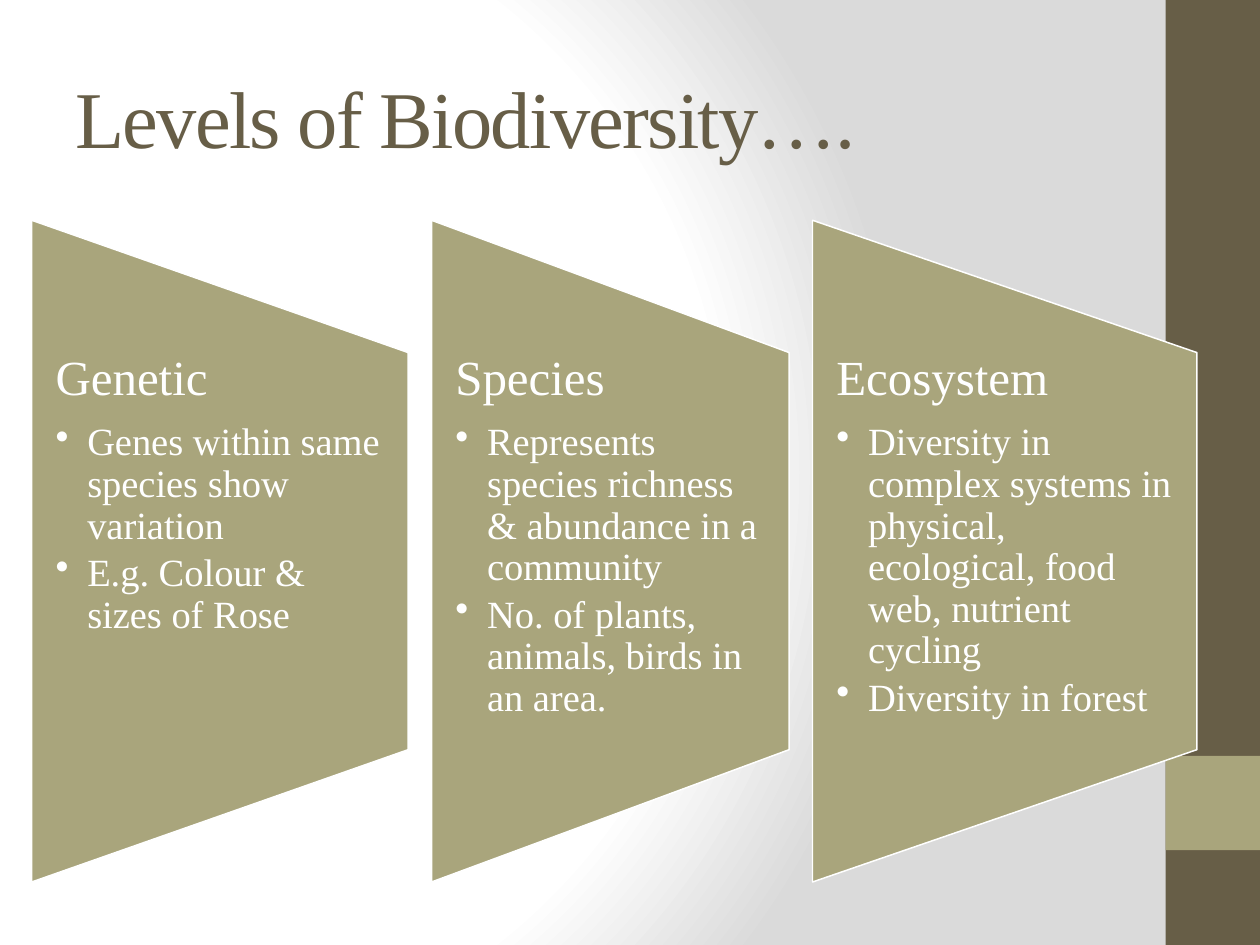
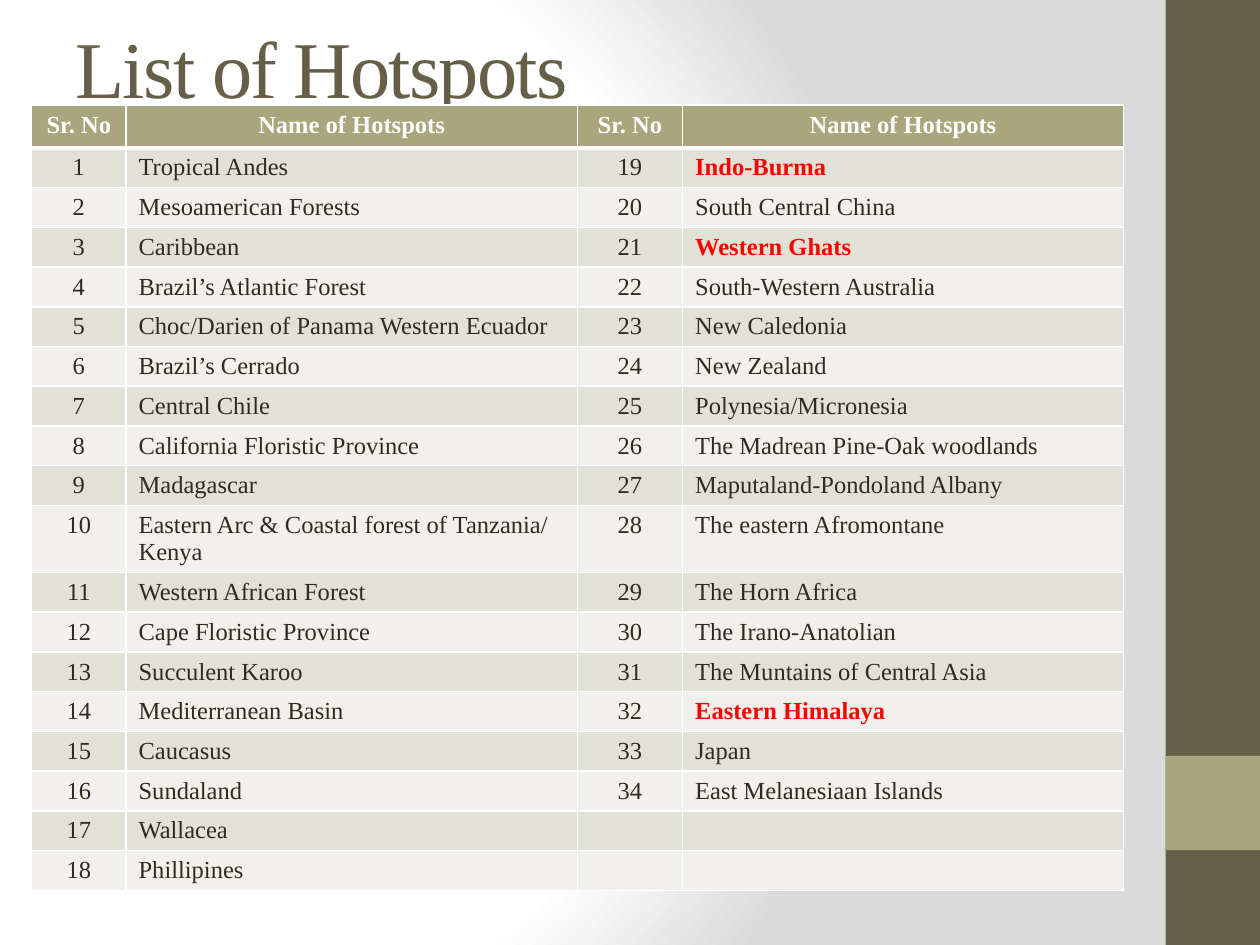
"""Build two slides on the levels of biodiversity and the list of hotspots."""
from lxml import etree
from pptx import Presentation
from pptx.dml.color import RGBColor
from pptx.enum.shapes import MSO_SHAPE
from pptx.enum.text import MSO_ANCHOR, MSO_AUTO_SIZE, PP_ALIGN
from pptx.oxml.ns import qn
from pptx.util import Cm, Pt

RECTANGLE = MSO_SHAPE.RECTANGLE
TRAPEZOID = MSO_SHAPE.FLOWCHART_MANUAL_OPERATION
LEFT, CENTER = PP_ALIGN.LEFT, PP_ALIGN.CENTER
TOP, MIDDLE = MSO_ANCHOR.TOP, MSO_ANCHOR.MIDDLE
NO_AUTOFIT = MSO_AUTO_SIZE.NONE

FONT = "Times New Roman"
COLORS = {
    "brown": "675E47",
    "olive": "A9A57C",
    "white": "FFFFFF",
    "gray": "DADADA",
    "text": "2F2B20",
    "red": "FF0000",
    "band_dark": "E2E1D7",
    "band_light": "F1F0EC",
}
BACKGROUND_STOPS = [(0, "white"), (75, "white"), (100, "gray")]
BACKGROUND_FOCUS = {"l": "20000", "t": "50000", "r": "100000", "b": "50000"}

SLIDE_WIDTH, SLIDE_HEIGHT = Cm(25.4), Cm(19.05)
BAND_WIDTH = Cm(1.9)
MARGIN = Cm(0.64)
PANEL_TOP, PANEL_HEIGHT, PANEL_GAP = Cm(4.44), Cm(13.34), Cm(0.47)
PANEL_TEXT_HEIGHT = Cm(8)

LEVELS = [
    (Cm(7.59), "Genetic",
     ["Genes within same species show variation",
      "E.g. Colour & sizes of Rose"]),
    (Cm(7.21), "Species",
     ["Represents species richness & abundance in a community",
      "No. of plants, animals, birds in an area."]),
    (Cm(7.75), "Ecosystem",
     ["Diversity in complex systems in physical, ecological, food web, nutrient cycling",
      "Diversity in forest"]),
]

HEADINGS = ["Sr. No", "Name of Hotspots"]
HOTSPOTS = [
    "Tropical Andes", "Mesoamerican Forests", "Caribbean",
    "Brazil’s Atlantic Forest", "Choc/Darien of Panama Western Ecuador",
    "Brazil’s Cerrado", "Central Chile", "California Floristic Province",
    "Madagascar", "Eastern Arc & Coastal forest of Tanzania/ Kenya",
    "Western African Forest", "Cape Floristic Province", "Succulent Karoo",
    "Mediterranean Basin", "Caucasus", "Sundaland", "Wallacea", "Phillipines",
    "Indo-Burma", "South Central China", "Western Ghats",
    "South-Western Australia", "New Caledonia", "New Zealand",
    "Polynesia/Micronesia", "The Madrean Pine-Oak woodlands",
    "Maputaland-Pondoland Albany", "The eastern Afromontane",
    "The Horn Africa", "The Irano-Anatolian", "The Muntains of Central Asia",
    "Eastern Himalaya", "Japan", "East Melanesiaan Islands",
]
INDIAN_HOTSPOTS = {"Indo-Burma", "Western Ghats", "Eastern Himalaya"}
HOTSPOTS_PER_COLUMN = 18
COLUMN_WIDTHS = [Cm(1.9), Cm(9.1), Cm(2.12), Cm(8.89)]
HEADER_HEIGHT, ROW_HEIGHT, TALL_ROW_HEIGHT = Cm(0.86), Cm(0.79), Cm(1.35)
TALL_ROW = 10


def rgb(name):
    """Return the named colour."""
    return RGBColor.from_string(COLORS[name])


def format_runs(paragraph, size, color, bold=False):
    """Apply the shared font to every run of a paragraph."""
    for run in paragraph.runs:
        run.font.name = FONT
        run.font.size = Pt(size)
        run.font.bold = bold
        run.font.color.rgb = rgb(color)


def set_background(master):
    """Give the slide master its off-centre circular gradient."""
    master.background.fill.gradient()
    gradient = master.element.find(".//" + qn("a:gradFill"))
    for child in list(gradient):
        gradient.remove(child)
    stops = etree.SubElement(gradient, qn("a:gsLst"))
    for position, color in BACKGROUND_STOPS:
        stop = etree.SubElement(stops, qn("a:gs"), pos=str(position * 1000))
        etree.SubElement(stop, qn("a:srgbClr"), val=COLORS[color])
    circle = etree.SubElement(gradient, qn("a:path"), {"path": "circle"})
    etree.SubElement(circle, qn("a:fillToRect"), BACKGROUND_FOCUS)


def add_filled_shape(slide, kind, left, top, width, height, color):
    """Add a flat preset shape without an outline."""
    shape = slide.shapes.add_shape(kind, left, top, width, height)
    shape.shadow.inherit = False
    shape.fill.solid()
    shape.fill.fore_color.rgb = rgb(color)
    shape.line.fill.background()
    return shape


def add_titled_slide(presentation, title_text, title_height):
    """Add a slide with the side bands and a formatted title."""
    slide = presentation.slides.add_slide(presentation.slide_layouts[5])
    band_left = SLIDE_WIDTH - BAND_WIDTH
    add_filled_shape(slide, RECTANGLE, band_left, 0, BAND_WIDTH, SLIDE_HEIGHT, "brown")
    add_filled_shape(slide, RECTANGLE, band_left, Cm(15.24), BAND_WIDTH, BAND_WIDTH, "olive")
    title = slide.shapes.title
    title.left, title.top = Cm(1.27), Cm(0.76)
    title.width, title.height = Cm(21.16), title_height
    text_frame = title.text_frame
    text_frame.text = title_text
    text_frame.auto_size = NO_AUTOFIT
    text_frame.vertical_anchor = MIDDLE
    paragraph = text_frame.paragraphs[0]
    paragraph.alignment = LEFT
    format_runs(paragraph, 46, "brown")
    for run in paragraph.runs:
        run.font._element.set("spc", "-100")
    return slide


def make_bullet(paragraph):
    """Turn a paragraph into a hanging bullet."""
    paragraph.level = 1
    properties = paragraph._p.get_or_add_pPr()
    properties.set("marL", str(Cm(0.64)))
    properties.set("indent", str(-Cm(0.64)))
    etree.SubElement(properties, qn("a:buChar"), char="•")


def add_level_panel(slide, left, width, heading, points):
    """Add a sideways trapezoid with a heading and bullets over it."""
    middle = PANEL_TOP + PANEL_HEIGHT // 2
    trapezoid = add_filled_shape(
        slide, TRAPEZOID, left + (width - PANEL_HEIGHT) // 2, middle - width // 2,
        PANEL_HEIGHT, width, "olive")
    trapezoid.rotation = 270
    trapezoid.line.color.rgb = rgb("white")
    trapezoid.line.width = Pt(0.85)

    text_box = slide.shapes.add_textbox(
        left, middle - PANEL_TEXT_HEIGHT // 2, width, PANEL_TEXT_HEIGHT)
    text_frame = text_box.text_frame
    text_frame.word_wrap = True
    text_frame.vertical_anchor = TOP
    text_frame.margin_left, text_frame.margin_right = Cm(0.48), Cm(0.5)
    text_frame.margin_top = text_frame.margin_bottom = 0
    text_frame.text = "\n".join([heading, *points])
    for index, paragraph in enumerate(text_frame.paragraphs):
        size, space_after = (22, 3.3) if index else (28, 9.8)
        paragraph.line_spacing = 0.9
        paragraph.space_after = Pt(space_after)
        if index:
            make_bullet(paragraph)
        format_runs(paragraph, size, "white")


def add_border(cell, side, width):
    """Draw one white border of a cell."""
    properties = cell._tc.get_or_add_tcPr()
    line = etree.SubElement(properties, qn("a:ln" + side), w=str(Pt(width)))
    fill = etree.SubElement(line, qn("a:solidFill"))
    etree.SubElement(fill, qn("a:srgbClr"), val=COLORS["white"])


def fill_cell(cell, text, fill, color, alignment, bold, bottom_width):
    """Write and format one table cell."""
    for side, width in (("L", 1), ("R", 1), ("B", bottom_width)):
        add_border(cell, side, width)
    cell.fill.solid()
    cell.fill.fore_color.rgb = rgb(fill)
    cell.text_frame.text = text
    paragraph = cell.text_frame.paragraphs[0]
    paragraph.alignment = alignment
    format_runs(paragraph, 14, color, bold)
    if not text:
        ending = etree.SubElement(paragraph._p, qn("a:endParaRPr"), sz="1400")
        etree.SubElement(ending, qn("a:latin"), typeface=FONT)


def hotspot_entry(number):
    """Return the number and name of a hotspot, blank past the end."""
    if number > len(HOTSPOTS):
        return ["", ""]
    return [str(number), HOTSPOTS[number - 1]]


def add_hotspot_table(slide):
    """Add the two-column list of numbered hotspots."""
    heights = [HEADER_HEIGHT] + [ROW_HEIGHT] * HOTSPOTS_PER_COLUMN
    heights[TALL_ROW] = TALL_ROW_HEIGHT
    table = slide.shapes.add_table(
        len(heights), len(COLUMN_WIDTHS), MARGIN, Cm(2.12),
        sum(COLUMN_WIDTHS), sum(heights)).table
    table.horz_banding = False
    for column, width in zip(table.columns, COLUMN_WIDTHS):
        column.width = width
    for row, height in zip(table.rows, heights):
        row.height = height

    for column, text in enumerate(HEADINGS * 2):
        cell = table.cell(0, column)
        add_border(cell, "T", 1)
        fill_cell(cell, text, "olive", "white", CENTER, True, 3)
        borders = cell._tc.tcPr
        borders.insert(2, borders[0])
    for row in range(1, len(heights)):
        fill = "band_dark" if row % 2 else "band_light"
        texts = hotspot_entry(row) + hotspot_entry(row + HOTSPOTS_PER_COLUMN)
        for column, text in enumerate(texts):
            indian = text in INDIAN_HOTSPOTS
            fill_cell(table.cell(row, column), text, fill,
                      "red" if indian else "text",
                      LEFT if column % 2 else CENTER, indian, 1)


def main():
    """Build and save the presentation."""
    presentation = Presentation()
    presentation.slide_width, presentation.slide_height = SLIDE_WIDTH, SLIDE_HEIGHT
    set_background(presentation.slide_master)

    levels_slide = add_titled_slide(presentation, "Levels of Biodiversity….", Cm(3.18))
    left = MARGIN
    for width, heading, points in LEVELS:
        add_level_panel(levels_slide, left, width, heading, points)
        left += width + PANEL_GAP

    hotspots_slide = add_titled_slide(presentation, "List of Hotspots", Cm(1.14))
    add_hotspot_table(hotspots_slide)
    presentation.save("out.pptx")


if __name__ == "__main__":
    main()
